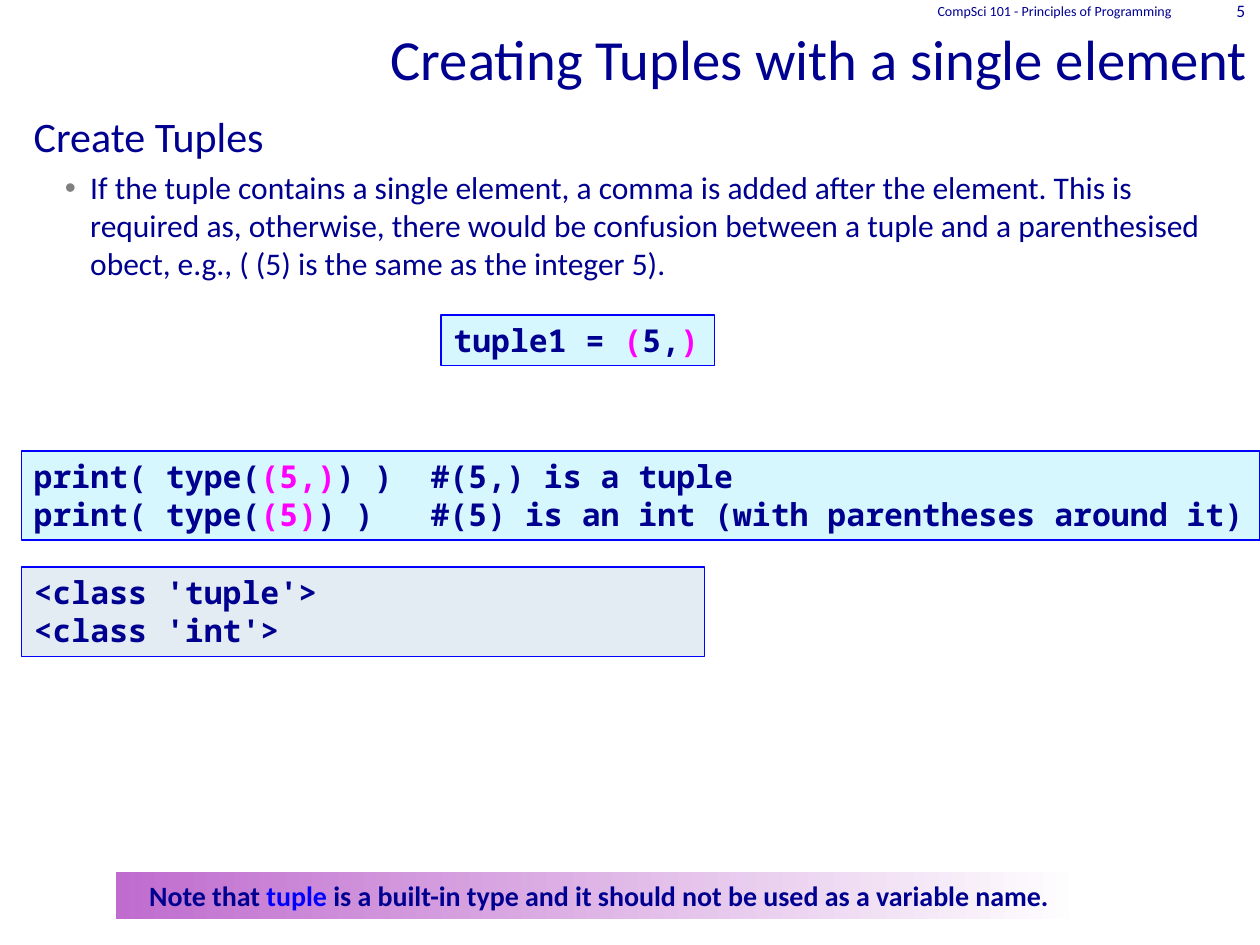
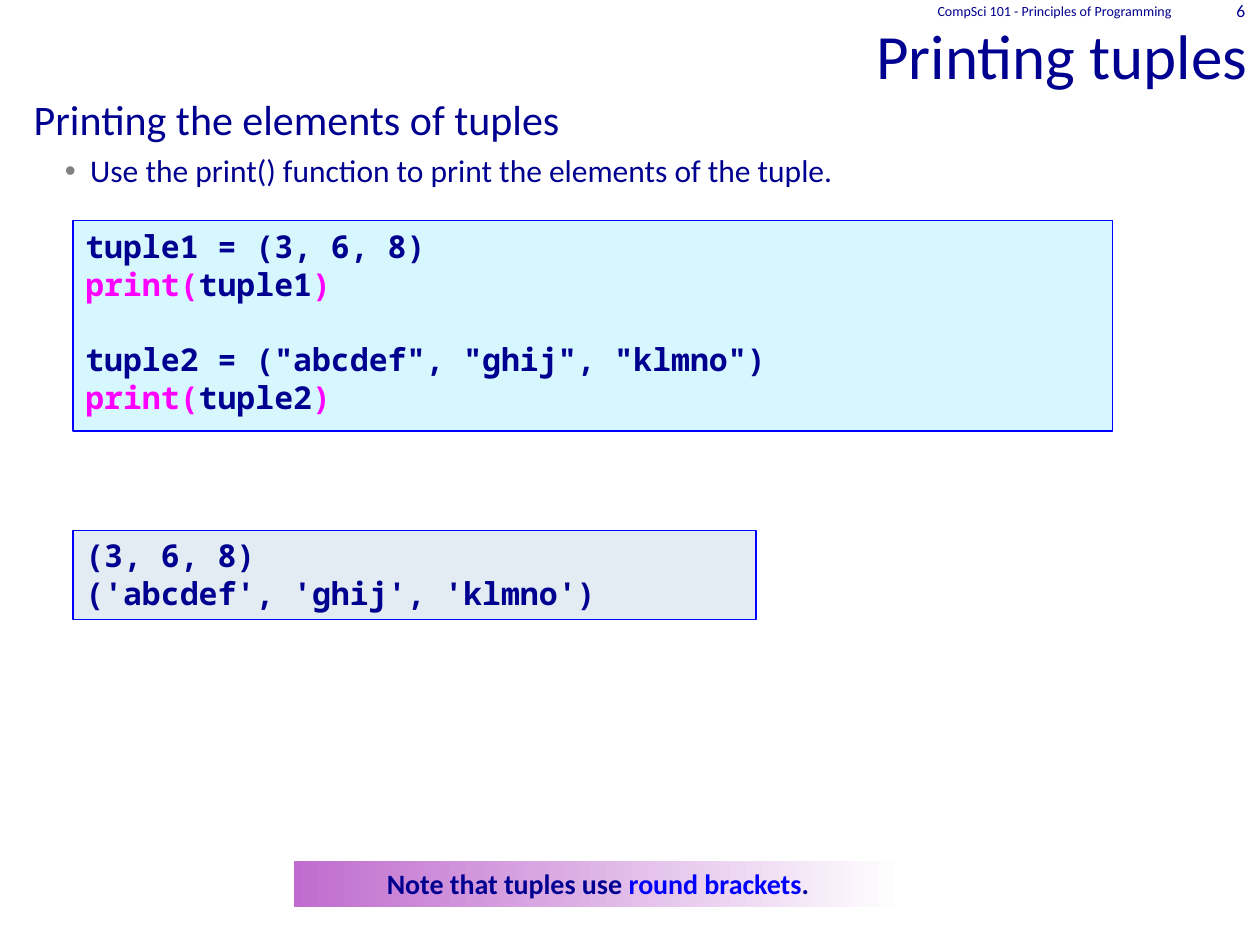
from dataclasses import dataclass

from lxml.etree import SubElement
from pptx import Presentation
from pptx.dml.color import RGBColor as RGB
from pptx.enum.shapes import MSO_SHAPE as Shape
from pptx.enum.text import MSO_ANCHOR as Anchor, PP_ALIGN as Align
from pptx.oxml.ns import qn
from pptx.util import Cm, Pt


@dataclass(frozen=True)
class Theme:
    navy: RGB = RGB(0x00, 0x00, 0x90)
    blue: RGB = RGB(0x00, 0x00, 0xFF)
    pink: RGB = RGB(0xFF, 0x00, 0xFF)
    code_fill: RGB = RGB(0xD7, 0xF7, 0xFF)
    output_fill: RGB = RGB(0xE3, 0xEB, 0xF3)
    note_start: RGB = RGB(0xBF, 0x6C, 0xCE)
    note_end: RGB = RGB(0xFF, 0xFF, 0xFF)
    bullet: str = "808080"
    text_font: str = "Calibri"
    code_font: str = "Noto Sans Mono"
    heading_size: float = 24
    point_size: float = 18
    code_size: float = 18
    note_size: float = 16
    footer_size: float = 8
    number_size: float = 10


theme = Theme()
COURSE = "CompSci 101 - Principles of Programming"

# Each line of code or note alternates plain and accented pieces.
# A block is: left, top, width, height (cm), fill, lines, lines after a gap.
lessons = [
    {
        "number": "5",
        "title": "Creating Tuples with a single element",
        "title_size": 32.4,
        "body_top": 2.11,
        "heading": "Create Tuples",
        "point": "If the tuple contains a single element, a comma is added after the element. "
                 "This is required as, otherwise, there would be confusion between a tuple and "
                 "a parenthesised obect, e.g., ( (5) is the same as the integer 5).",
        "blocks": [
            ((8.89, 6.35, 5.51, 1.02), theme.code_fill, [["tuple1 = ", "(", "5,", ")"]], []),
            ((0.43, 9.09, 24.97, 1.8), theme.code_fill, [
                ["print( type(", "(5,)", ") )  #(5,) is a tuple"],
                ["print( type(", "(5)", ") )   #(5) is an int (with parentheses around it)"],
            ], []),
            ((0.43, 11.43, 13.77, 1.8), theme.output_fill,
             [["<class 'tuple'>"], ["<class 'int'>"]], []),
        ],
        "note_box": (2.34, 17.58, 19.48, 0.94),
        "note": ["Note that ", "tuple ",
                 "is a built-in type and it should not be used as a variable name."],
    },
    {
        "number": "6",
        "title": "Printing tuples",
        "title_size": 36,
        "body_top": 1.77,
        "heading": "Printing the elements of tuples",
        "point": "Use the print() function to print the elements of the tuple.",
        "blocks": [
            ((1.47, 4.45, 20.96, 4.24), theme.code_fill,
             [["tuple1 = (3, 6, 8)"], ["", "print(", "tuple1", ")"]],
             [['tuple2 = ("abcdef", "ghij", "klmno")'], ["", "print(", "tuple2", ")"]]),
            ((1.47, 10.69, 13.77, 1.8), theme.output_fill,
             [["(3, 6, 8)"], ["('abcdef', 'ghij', 'klmno')"]], []),
        ],
        "note_box": (5.92, 17.35, 12.27, 0.94),
        "note": ["Note that tuples use ", "round brackets", "."],
    },
]


def write(paragraph, pieces, size, font=theme.text_font, accent=theme.navy, bold=False):
    """Fill a paragraph with pieces, every second one in the accent colour."""
    for position, piece in enumerate(pieces):
        if not piece:
            continue
        run = paragraph.add_run()
        run.text = piece
        run.font.size = Pt(size)
        run.font.name = font
        run.font.bold = bold
        run.font.color.rgb = accent if position % 2 else theme.navy


def add_frame(slide, box, filled=False):
    """Add a text box, or a plain rectangle if filled, and return it with its text frame."""
    place = [Cm(length) for length in box]
    if filled:
        holder = slide.shapes.add_shape(Shape.RECTANGLE, *place)
        holder.shadow.inherit = False
    else:
        holder = slide.shapes.add_textbox(*place)
    frame = holder.text_frame
    frame.word_wrap = True
    frame.vertical_anchor = Anchor.TOP
    frame.paragraphs[0].alignment = Align.LEFT
    return holder, frame


deck = Presentation()
deck.slide_width, deck.slide_height = Cm(25.4), Cm(19.05)

for lesson in lessons:
    slide = deck.slides.add_slide(deck.slide_layouts[6])

    # Title, course name and slide number, all right-aligned
    for box, words, size, anchor in [
        ((0, 0, 25.4, 1.9), lesson["title"], lesson["title_size"], Anchor.BOTTOM),
        ((16.26, 0, 7.62, 0.43), COURSE, theme.footer_size, Anchor.MIDDLE),
        ((23.88, 0, 1.47, 0.43), lesson["number"], theme.number_size, Anchor.MIDDLE),
    ]:
        _, header = add_frame(slide, box)
        header.vertical_anchor = anchor
        if anchor == Anchor.BOTTOM:
            header.margin_bottom = Cm(0.05)
        header.paragraphs[0].alignment = Align.RIGHT
        write(header.paragraphs[0], [words], size)

    # Heading with one bulleted point
    _, body = add_frame(slide, (0.43, lesson["body_top"], 24.33, 4))
    write(body.paragraphs[0], [lesson["heading"]], theme.heading_size)
    point = body.add_paragraph()
    point.space_before = Pt(4)
    write(point, [lesson["point"]], theme.point_size)
    layout = point._p.get_or_add_pPr()
    layout.set("marL", str(Cm(1.14)))
    layout.set("indent", str(-Cm(0.51)))
    bullet_colour = SubElement(layout, qn("a:buClr"))
    SubElement(bullet_colour, qn("a:srgbClr"), val=theme.bullet)
    SubElement(layout, qn("a:buFont"), typeface="Arial")
    SubElement(layout, qn("a:buChar"), char="•")

    # Code and output blocks
    for box, fill, lines, later_lines in lesson["blocks"]:
        block, code = add_frame(slide, box, filled=True)
        block.fill.solid()
        block.fill.fore_color.rgb = fill
        block.line.color.rgb = theme.blue
        block.line.width = Pt(0.75)
        code.word_wrap = len(lines) > 1
        for row, pieces in enumerate(lines + later_lines):
            line = code.add_paragraph() if row else code.paragraphs[0]
            line.alignment = Align.LEFT
            if row == len(lines):
                line.space_before = Pt(21.5)
            write(line, pieces, theme.code_size, theme.code_font, theme.pink, bold=True)

    # Note on a fading band
    band, note = add_frame(slide, lesson["note_box"], filled=True)
    band.line.fill.background()
    band.fill.gradient()
    band.fill.gradient_angle = 0
    for stop, colour in zip(band.fill.gradient_stops, (theme.note_start, theme.note_end)):
        stop.color.rgb = colour
    note.paragraphs[0].alignment = Align.CENTER
    write(note.paragraphs[0], lesson["note"], theme.note_size, accent=theme.blue, bold=True)

deck.save("out.pptx")
